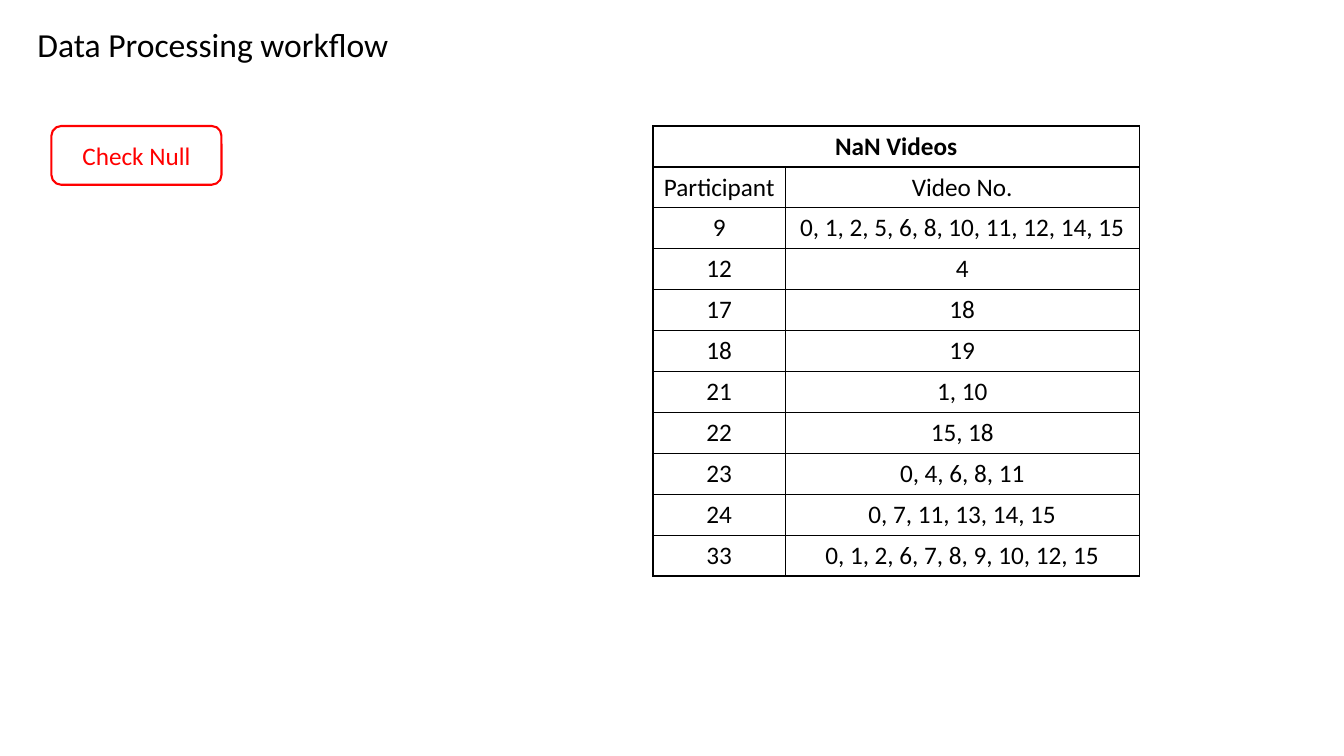
from dataclasses import dataclass

from lxml.etree import SubElement
from pptx import Presentation
from pptx.dml.color import RGBColor as RGB
from pptx.enum.shapes import MSO_SHAPE as Shape
from pptx.enum.text import MSO_ANCHOR as Anchor, MSO_AUTO_SIZE as AutoSize, PP_ALIGN as Align
from pptx.oxml.ns import qn
from pptx.util import Pt

PX = 9525


@dataclass(frozen=True)
class Theme:
    font: str = "Calibri"
    ink: str = "000000"
    paper: str = "FFFFFF"
    alert: str = "FF0000"
    title: int = 24
    body: int = 18
    border: float = 1
    outline: float = 1.5


THEME = Theme()
NAN_VIDEOS = [
    ("Participant", "Video No."),
    ("9", "0, 1, 2, 5, 6, 8, 10, 11, 12, 14, 15"),
    ("12", "4"),
    ("17", "18"),
    ("18", "19"),
    ("21", "1, 10"),
    ("22", "15, 18"),
    ("23", "0, 4, 6, 8, 11"),
    ("24", "0, 7, 11, 13, 14, 15"),
    ("33", "0, 1, 2, 6, 7, 8, 9, 10, 12, 15"),
]


def emu(*lengths):
    return [n * PX for n in lengths]


def write(tf, text, size, color, align=Align.CENTER, bold=False):
    p = tf.paragraphs[0]
    p.alignment = align
    r = p.add_run()
    r.text = text
    r.font.name = THEME.font
    r.font.size = Pt(size)
    r.font.bold = bold
    r.font.color.rgb = RGB.from_string(color)


def add_title(slide, box, text):
    sp = slide.shapes.title
    sp.left, sp.top, sp.width, sp.height = emu(*box)
    tf = sp.text_frame
    tf.word_wrap = False
    tf.auto_size = AutoSize.SHAPE_TO_FIT_TEXT
    tf.vertical_anchor = Anchor.TOP
    write(tf, text, THEME.title, THEME.ink, Align.LEFT)


def add_step(slide, box, text):
    sp = slide.shapes.add_shape(Shape.ROUNDED_RECTANGLE, *emu(*box))
    sp.shadow.inherit = False
    sp.fill.background()
    sp.line.color.rgb = RGB.from_string(THEME.alert)
    sp.line.width = Pt(THEME.outline)
    tf = sp.text_frame
    tf.word_wrap = True
    tf.vertical_anchor = Anchor.MIDDLE
    write(tf, text, THEME.body, THEME.alert)


def style_cell(cell):
    cell.vertical_anchor = Anchor.MIDDLE
    tc_pr = cell._tc.get_or_add_tcPr()
    for side in ("a:lnL", "a:lnR", "a:lnT", "a:lnB"):
        ln = SubElement(tc_pr, qn(side), w=str(Pt(THEME.border)))
        fill = SubElement(ln, qn("a:solidFill"))
        SubElement(fill, qn("a:srgbClr"), val=THEME.ink)
    cell.fill.solid()
    cell.fill.fore_color.rgb = RGB.from_string(THEME.paper)


def add_video_table(slide, box, heading, rows, first_col):
    x, y, w, h = box
    n_rows = len(rows) + 1
    table = slide.shapes.add_table(n_rows, 2, *emu(x, y, w, h)).table
    for col, width in zip(table.columns, emu(first_col, w - first_col)):
        col.width = width
    for row in table.rows:
        row.height = h * PX // n_rows
    for cell in table.iter_cells():
        style_cell(cell)
    table.cell(0, 0).merge(table.cell(0, 1))
    write(table.cell(0, 0).text_frame, heading, THEME.body, THEME.ink, bold=True)
    for i, values in enumerate(rows, 1):
        for j, value in enumerate(values):
            write(table.cell(i, j).text_frame, value, THEME.body, THEME.ink)


def main():
    prs = Presentation()
    prs.slide_width, prs.slide_height = emu(1280, 720)
    slide = prs.slides.add_slide(prs.slide_layouts.get_by_name("Title Only"))
    add_title(slide, (26, 18, 357, 48), "Data Processing workflow")
    add_step(slide, (49, 120, 162, 56), "Check Null")
    add_video_table(slide, (622, 120, 463, 429), "NaN Videos", NAN_VIDEOS, first_col=126)
    prs.save("out.pptx")


if __name__ == "__main__":
    main()
